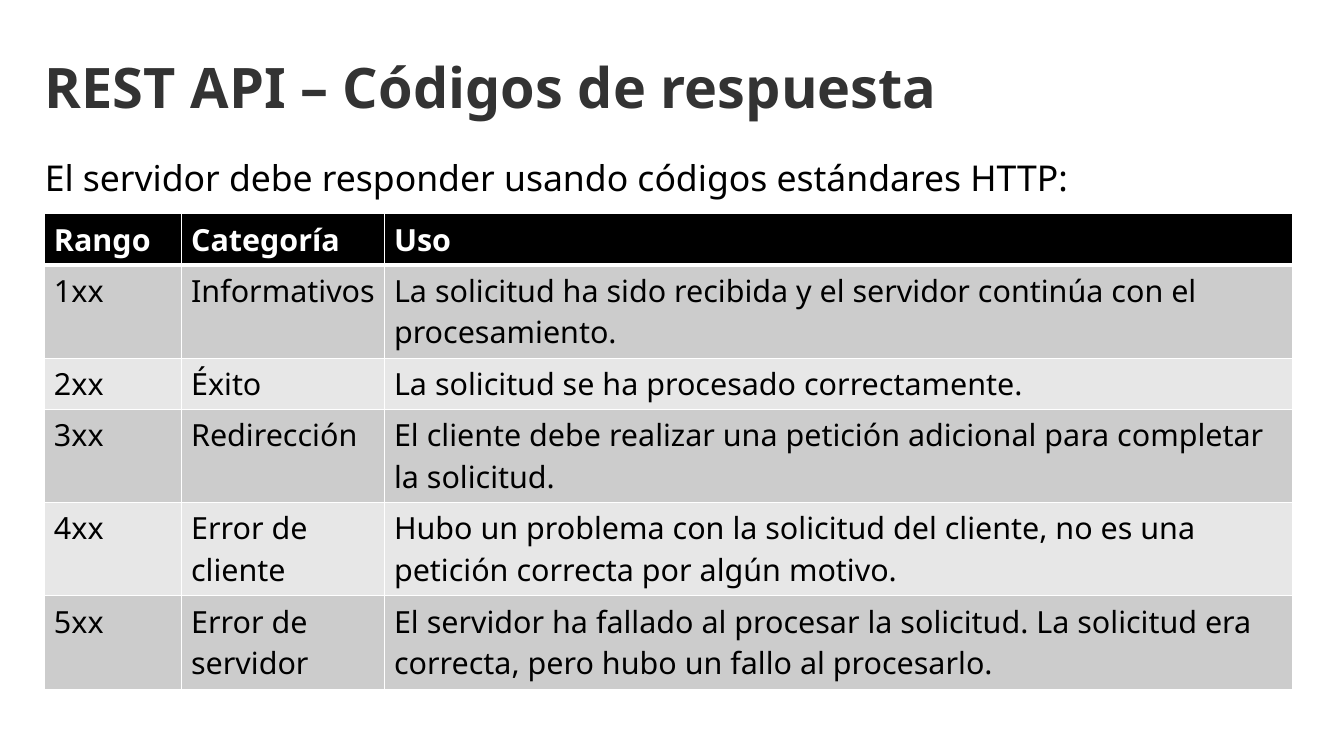
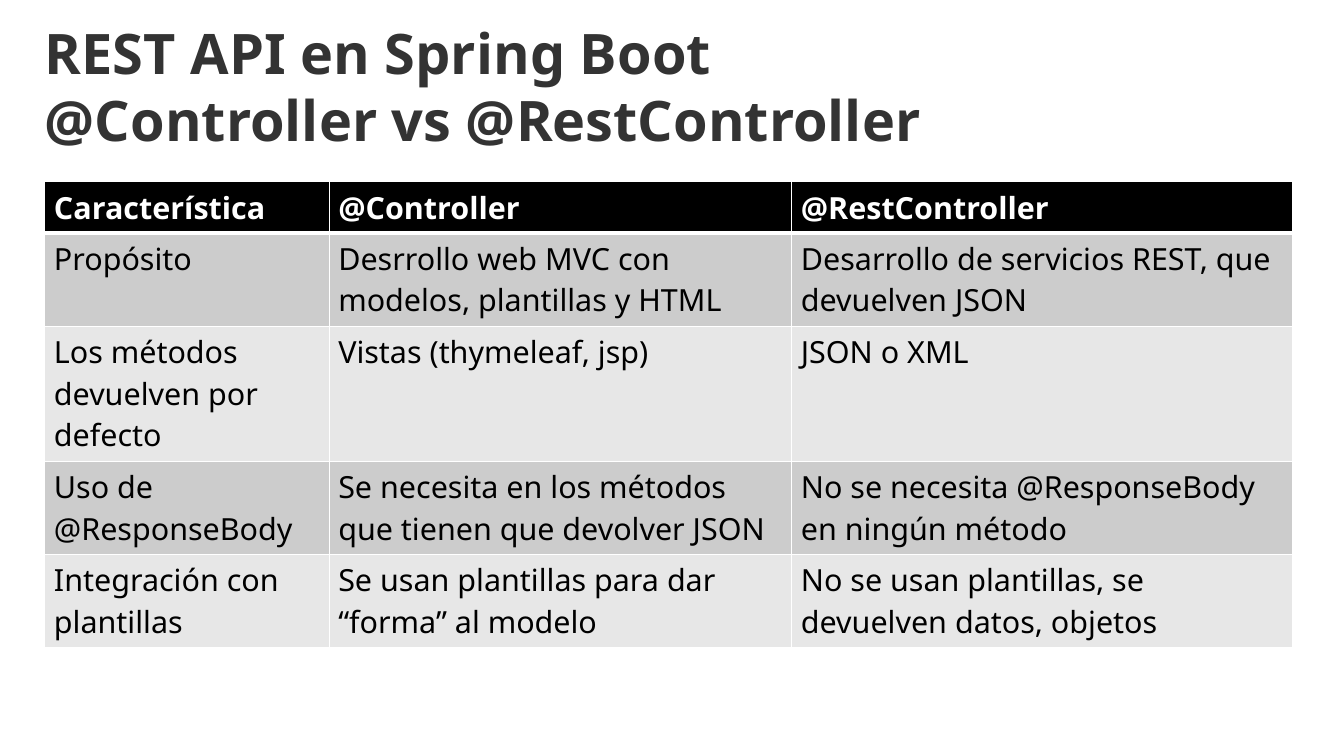
"""Build two slides with tables about REST APIs."""
from lxml.etree import SubElement
from pptx import Presentation
from pptx.dml.color import RGBColor
from pptx.enum.text import MSO_ANCHOR
from pptx.oxml.ns import qn
from pptx.util import Inches, Pt

FONT = "Noto Sans"
BLACK, WHITE, TITLE_COLOR = "000000", "FFFFFF", "333333"
BANDS = ["E7E7E7", "CCCCCC"]
LEFT, WIDTH = 0.49, 13.65
LINE_HEIGHT, CELL_PADDING = 0.46, 0.1

SLIDES = [
    {
        "title": "REST API – Códigos de respuesta",
        "intro": "El servidor debe responder usando códigos estándares HTTP:",
        "top": 2.34,
        "columns": [1.5, 2.22, 9.93],
        "lines": [1, 2, 1, 2, 2, 2],
        "rows": [
            ["Rango", "Categoría", "Uso"],
            ["1xx", "Informativos",
             "La solicitud ha sido recibida y el servidor continúa con el procesamiento."],
            ["2xx", "Éxito", "La solicitud se ha procesado correctamente."],
            ["3xx", "Redirección",
             "El cliente debe realizar una petición adicional para completar la solicitud."],
            ["4xx", "Error de cliente",
             "Hubo un problema con la solicitud del cliente, no es una petición correcta "
             "por algún motivo."],
            ["5xx", "Error de servidor",
             "El servidor ha fallado al procesar la solicitud. La solicitud era correcta, "
             "pero hubo un fallo al procesarlo."],
        ],
    },
    {
        "title": "REST API en Spring Boot\n@Controller vs @RestController",
        "intro": None,
        "top": 1.99,
        "columns": [3.11, 5.06, 5.48],
        "lines": [1, 2, 3, 2, 2],
        "rows": [
            ["Característica", "@Controller", "@RestController"],
            ["Propósito", "Desrrollo web MVC con modelos, plantillas y HTML",
             "Desarrollo de servicios REST, que devuelven JSON"],
            ["Los métodos devuelven por defecto", "Vistas (thymeleaf, jsp)", "JSON o XML"],
            ["Uso de @ResponseBody", "Se necesita en los métodos que tienen que devolver JSON",
             "No se necesita @ResponseBody en ningún método"],
            ["Integración con plantillas", "Se usan plantillas para dar “forma” al modelo",
             "No se usan plantillas, se devuelven datos, objetos"],
        ],
    },
]


def write(tf, text, size, color, bold=False):
    tf.text = text
    for p in tf.paragraphs:
        for r in p.runs:
            r.font.name = FONT
            r.font.size = Pt(size)
            r.font.bold = bold
            r.font.color.rgb = RGBColor.from_string(color)


def add_text(s, top, height, text, size, color, bold=False):
    tf = s.shapes.add_textbox(Inches(LEFT), Inches(top), Inches(WIDTH), Inches(height)).text_frame
    tf.word_wrap = True
    tf.margin_left = tf.margin_top = tf.margin_right = tf.margin_bottom = 0
    write(tf, text, size, color, bold)
    return tf


prs = Presentation()
prs.slide_width, prs.slide_height = Inches(14.7), Inches(8.27)

for content in SLIDES:
    s = prs.slides.add_slide(prs.slide_layouts[6])

    title = add_text(s, 0.17, 1.54, content["title"], 44, TITLE_COLOR, True)
    title.vertical_anchor = MSO_ANCHOR.MIDDLE

    if content["intro"]:
        intro = add_text(s, 1.71, 6.11, content["intro"], 28, BLACK)
        intro.paragraphs[0].space_after = Pt(14.1)

    rows, columns = content["rows"], content["columns"]
    heights = [CELL_PADDING + LINE_HEIGHT * n for n in content["lines"]]
    table = s.shapes.add_table(len(rows), len(columns), Inches(LEFT), Inches(content["top"]),
                               Inches(WIDTH), Inches(sum(heights))).table
    for column, width in zip(table.columns, columns):
        column.width = Inches(width)
    for i, row in enumerate(rows):
        header = i == 0
        table.rows[i].height = Inches(heights[i])
        for j, text in enumerate(row):
            cell = table.cell(i, j)
            tcPr = cell._tc.get_or_add_tcPr()
            for side in ("L", "R", "T", "B"):
                thick = (i, side) in ((0, "B"), (1, "T"))
                ln = SubElement(tcPr, qn(f"a:ln{side}"), w=str(Pt(3 if thick else 1)))
                SubElement(SubElement(ln, qn("a:solidFill")), qn("a:srgbClr"), val=WHITE)
            cell.fill.solid()
            cell.fill.fore_color.rgb = RGBColor.from_string(BLACK if header else BANDS[i % 2])
            write(cell.text_frame, text, 24, WHITE if header else BLACK, header)

prs.save("out.pptx")
